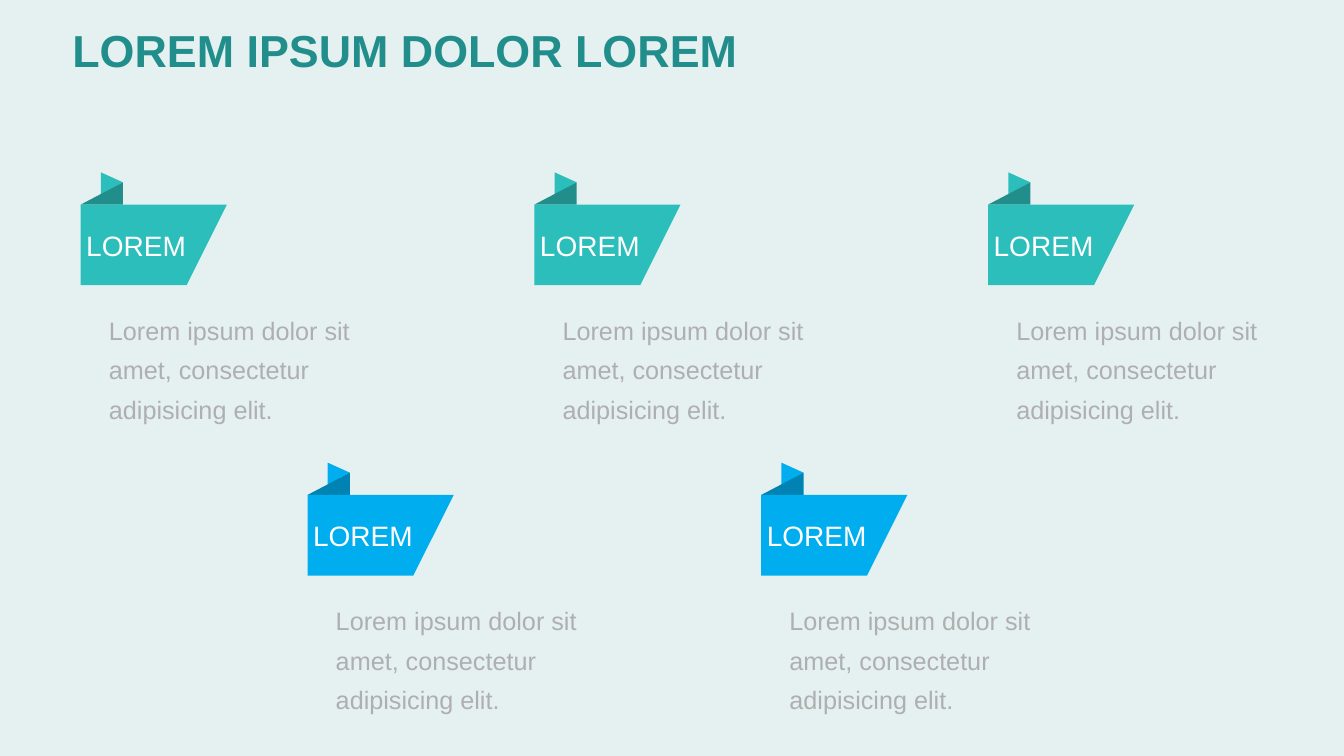
from pptx import Presentation
from pptx.dml.color import RGBColor
from pptx.enum import shapes, text
from pptx.oxml import ns
from pptx.util import Inches, Pt

COLORS = {
    "background": "E5F1F1",
    "title": "218E8C",
    "body": "AFAFAF",
    "label": "FFFFFF",
    "teal": "2CBEBB",
    "teal_fold": "218E8C",
    "blue": "00AEEF",
    "blue_fold": "0083B3",
}
FONT = "Arial"
LABEL = "LOREM"
BODY = "Lorem ipsum dolor sit amet, consectetur adipisicing elit."

COLUMN_STEP = 4.5
# Each row: left, top, number of ribbons, colour
ROWS = [(0.8, 1.71, 3, "teal"), (3.05, 4.59, 2, "blue")]


def color(name):
    return RGBColor.from_string(COLORS[name])


def paint(shape, name):
    shape.shadow.inherit = False
    shape.fill.solid()
    shape.fill.fore_color.rgb = color(name)
    shape.line.fill.background()


def set_margins(frame, left=0, top=0, right=0, bottom=0):
    frame.margin_left, frame.margin_top = Inches(left), Inches(top)
    frame.margin_right, frame.margin_bottom = Inches(right), Inches(bottom)


def write(frame, words, size, name, bold=False, spacing=None,
          align=text.PP_ALIGN.LEFT):
    frame.word_wrap = True
    para = frame.paragraphs[0]
    para.alignment = align
    para.line_spacing = spacing
    span = para.add_run()
    span.text = words
    span.font.name = FONT
    span.font.size = Pt(size)
    span.font.bold = bold
    span.font.color.rgb = color(name)


def add_polygon(parent, left, top, points, name):
    corners = [(Inches(left + x), Inches(top + y)) for x, y in points]
    builder = parent.build_freeform(*corners[0])
    builder.add_line_segments(corners[1:], close=True)
    polygon = builder.convert_to_shape()
    paint(polygon, name)
    return polygon


def add_title(page, left, top, width, height):
    box = page.shapes.add_textbox(Inches(left), Inches(top),
                                  Inches(width), Inches(height))
    box.text_frame.vertical_anchor = text.MSO_ANCHOR.MIDDLE
    write(box.text_frame, "LOREM IPSUM DOLOR LOREM", 32, "title",
          bold=True, spacing=0.9)


def add_ribbon(page, left, top, name):
    parts = page.shapes.add_group_shape().shapes

    # Ribbon end behind the fold
    add_polygon(parts, left, top, [(0.2, 0), (0.42, 0.1), (0.2, 0.23)], name)

    # Description
    box = parts.add_textbox(Inches(left + 0.28), Inches(top + 1.33),
                            Inches(2.45), Inches(1.34))
    set_margins(box.text_frame)
    write(box.text_frame, BODY, 18, "body", spacing=1.3)

    # Dark fold, mirrored so that it rises to the right
    fold = parts.add_shape(shapes.MSO_SHAPE.RIGHT_TRIANGLE,
                           Inches(left), Inches(top + 0.1),
                           Inches(0.42), Inches(0.22))
    fold.element.spPr.find(ns.qn("a:xfrm")).set("flipH", "1")
    paint(fold, name + "_fold")

    # Banner with its label
    banner = add_polygon(parts, left, top + 0.32,
                         [(0, 0), (1.45, 0), (1.05, 0.8), (0, 0.8)], name)
    set_margins(banner.text_frame, right=0.35)
    banner.text_frame.vertical_anchor = text.MSO_ANCHOR.MIDDLE
    write(banner.text_frame, LABEL, 20, "label", align=text.PP_ALIGN.CENTER)


def main():
    deck = Presentation()
    deck.slide_width, deck.slide_height = Inches(13.33), Inches(7.5)
    page = deck.slides.add_slide(deck.slide_layouts[6])
    page.background.fill.solid()
    page.background.fill.fore_color.rgb = color("background")

    for left, top, count, name in ROWS:
        for column in range(count):
            add_ribbon(page, left + column * COLUMN_STEP, top, name)
    add_title(page, 0.62, 0.18, 11.96, 0.7)

    deck.save("out.pptx")


if __name__ == "__main__":
    main()
